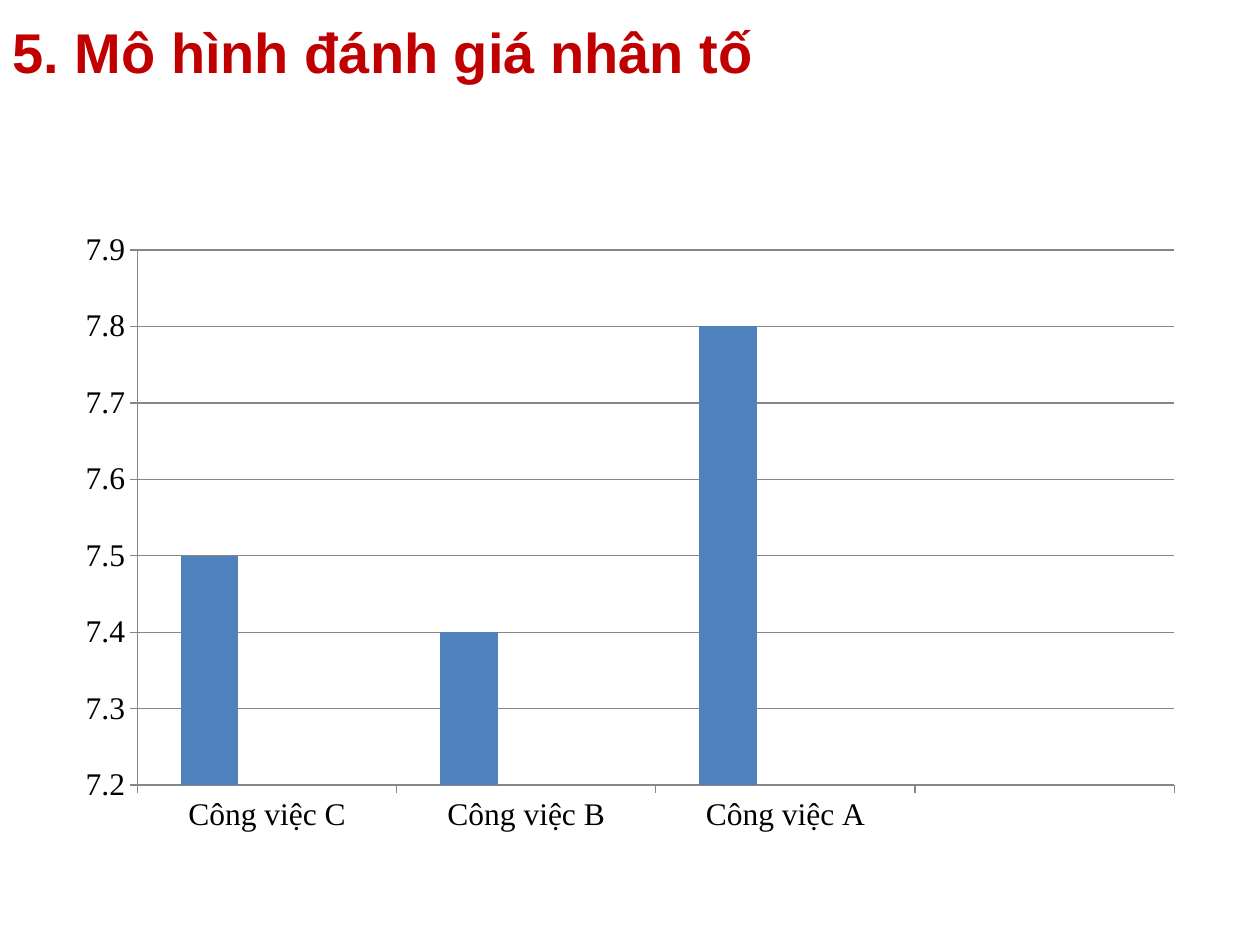
"""Build a slide with a column chart of job scores in a factor evaluation model."""
from pptx import Presentation
from pptx.chart.data import CategoryChartData
from pptx.dml.color import RGBColor
from pptx.enum.chart import XL_CHART_TYPE, XL_TICK_MARK
from pptx.enum.text import MSO_ANCHOR, PP_ALIGN
from pptx.util import Inches, Pt

CLUSTERED = XL_CHART_TYPE.COLUMN_CLUSTERED
TICK_OUT = XL_TICK_MARK.OUTSIDE
TICK_NONE = XL_TICK_MARK.NONE
BOTTOM = MSO_ANCHOR.BOTTOM
LEFT = PP_ALIGN.LEFT

COLORS = {
    "heading": "C00000",
    "label": "000000",
    "axis": "868686",
    "Series 1": "4F81BD",
    "Series 2": "C0504D",
    "Series 3": "9BBB59",
}
JOBS = ["Công việc C", "Công việc B", "Công việc A", ""]
SCORES = {
    "Series 1": [7.5, 7.4, 7.8, None],
    "Series 2": [None] * len(JOBS),
    "Series 3": [None] * len(JOBS),
}


class SlideBuilder:
    """Hold the style and the current slide."""

    def __init__(self, slide):
        self.slide = slide
        self.heading_font = "Arial"
        self.chart_font = "Times New Roman"

    def color(self, name):
        return RGBColor.from_string(COLORS[name])

    def title(self, text, left, top, width, height):
        heading = self.slide.shapes.title
        heading.left, heading.top = Inches(left), Inches(top)
        heading.width, heading.height = Inches(width), Inches(height)
        frame = heading.text_frame
        frame.text = text
        frame.word_wrap = True
        frame.vertical_anchor = BOTTOM
        paragraph = frame.paragraphs[0]
        paragraph.alignment = LEFT
        font = paragraph.runs[0].font
        font.name, font.size, font.bold = self.heading_font, Pt(32), True
        font.color.rgb = self.color("heading")

    def style_line(self, line):
        line.color.rgb = self.color("axis")
        line.width = Pt(0.75)

    def column_chart(self, categories, series, left, top, width, height):
        data = CategoryChartData()
        data.categories = categories
        for name, values in series.items():
            data.add_series(name, values)
        chart = self.slide.shapes.add_chart(
            CLUSTERED, Inches(left), Inches(top), Inches(width), Inches(height), data
        ).chart
        chart.has_legend = False
        chart.has_title = False
        chart.font.name, chart.font.size = self.chart_font, Pt(18)
        chart.font.color.rgb = self.color("label")

        plot = chart.plots[0]
        plot.vary_by_categories = False
        plot.gap_width, plot.overlap = 150, 0
        for columns in plot.series:
            columns.format.fill.solid()
            columns.format.fill.fore_color.rgb = self.color(columns.name)

        for axis in (chart.category_axis, chart.value_axis):
            axis.major_tick_mark = TICK_OUT
            axis.minor_tick_mark = TICK_NONE
            self.style_line(axis.format.line)
        scale = chart.value_axis
        scale.minimum_scale, scale.maximum_scale = 7.2, 7.9
        scale.major_unit = 0.1
        scale.tick_labels.number_format = "General"
        scale.tick_labels.number_format_is_linked = False
        scale.has_major_gridlines = True
        self.style_line(scale.major_gridlines.format.line)


def main():
    deck = Presentation()
    deck.slide_width, deck.slide_height = Inches(10), Inches(7.5)
    builder = SlideBuilder(deck.slides.add_slide(deck.slide_layouts[5]))
    builder.column_chart(JOBS, SCORES, 0.5, 1.75, 9, 4.95)
    builder.title("5. Mô hình đánh giá nhân tố", 0, 0, 9, 0.72)
    deck.save("out.pptx")


if __name__ == "__main__":
    main()
